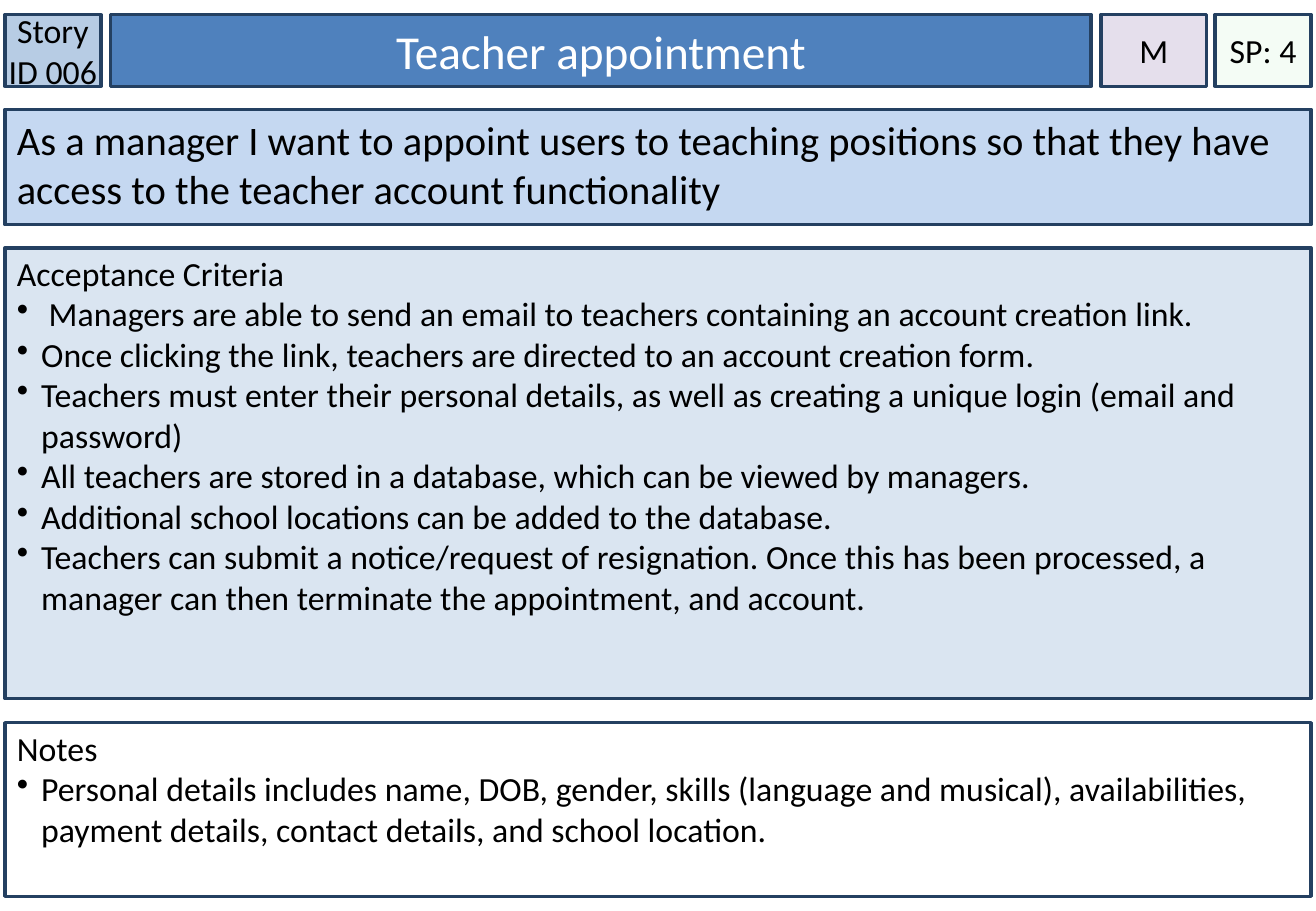
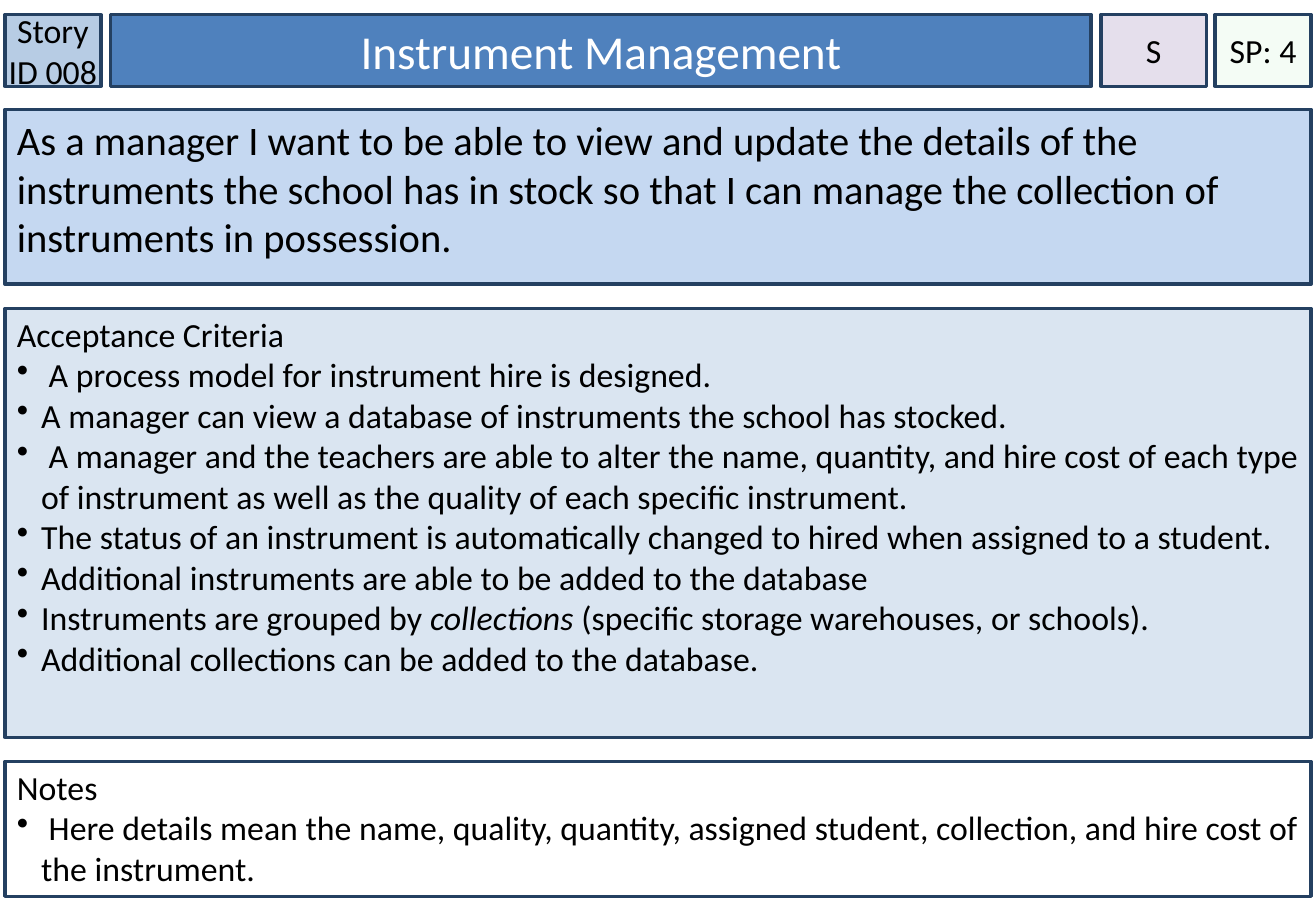
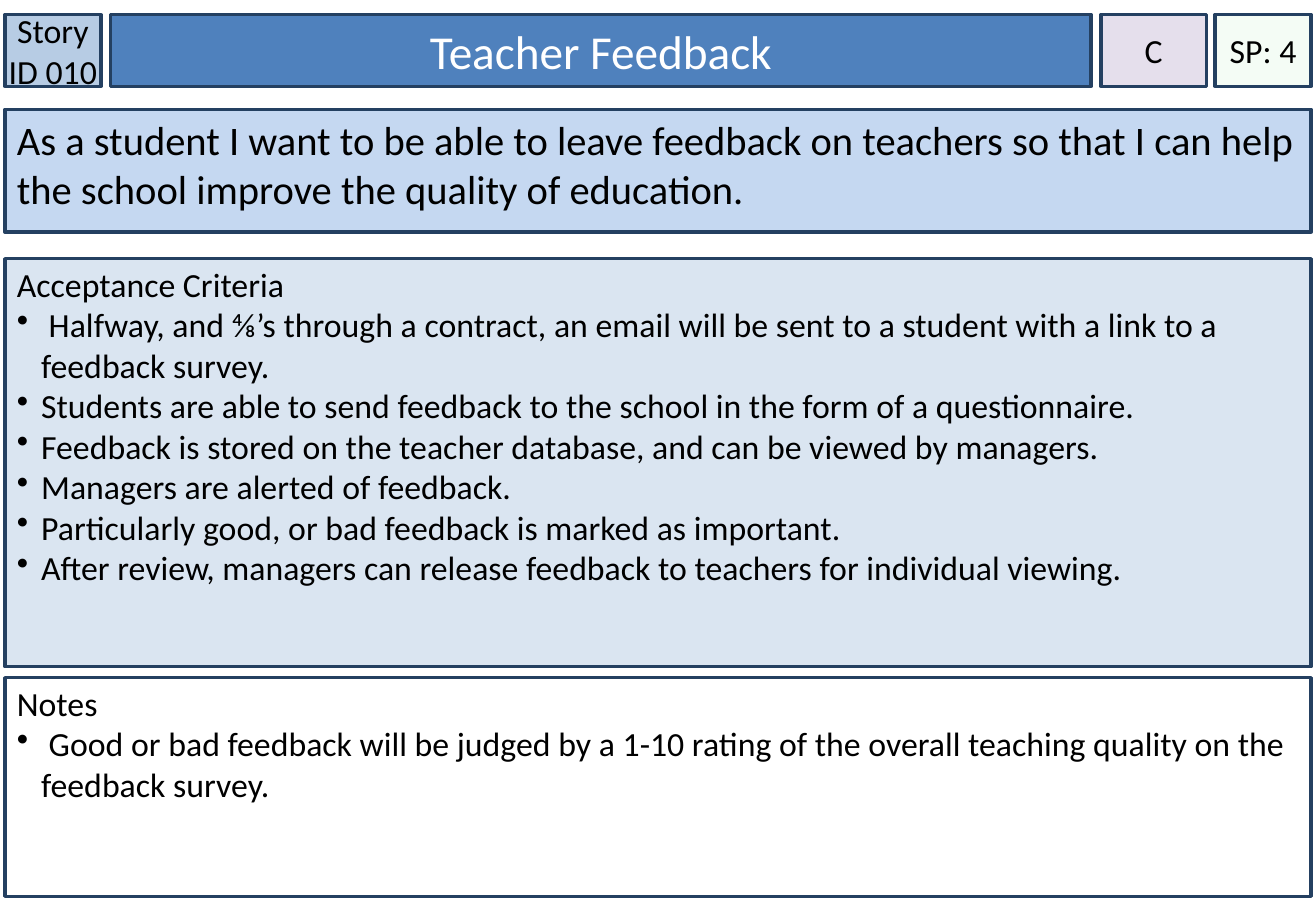
from lxml import etree
from pptx import Presentation
from pptx import util as u
from pptx.dml.color import RGBColor
from pptx.enum import shapes, text
from pptx.oxml import ns

PX = 9144  # 100 px to the inch
WIDTH, HEIGHT = 1083, 750
LEFT, RIGHT, BOTTOM = 4, 1079, 738
HEADER_TOP, HEADER_HEIGHT = 12, 59
STORY_TOP = 90
INDENT = 20

FONT = "Calibri"
BLACK = RGBColor(0x00, 0x00, 0x00)
WHITE = RGBColor(0xFF, 0xFF, 0xFF)
NAVY = RGBColor(0x24, 0x40, 0x61)
BLUE = RGBColor(0x4F, 0x81, 0xBD)
ID_BLUE = RGBColor(0xB7, 0xCC, 0xE4)
STORY_BLUE = RGBColor(0xC5, 0xD8, 0xF1)
PALE_BLUE = RGBColor(0xDA, 0xE5, 0xF1)
LILAC = RGBColor(0xE5, 0xDF, 0xEC)
GREEN = RGBColor(0xCC, 0xF0, 0xCD)

# A bullet is a string, or a list of (text, italic) runs.
# Spans are (top, bottom) in px.
CARDS = [
    dict(
        id="Story ID 006", title="Teacher appointment", priority="M", points="SP: 4",
        story="As a manager I want to appoint users to teaching positions so that "
              "they have access to the teacher account functionality",
        criteria=[
            " Managers are able to send an email to teachers containing an account creation link.",
            "Once clicking the link, teachers are directed to an account creation form.",
            "Teachers must enter their personal details, as well as creating a unique login "
            "(email and password)",
            "All teachers are stored in a database, which can be viewed by managers.",
            "Additional school locations can be added to the database.",
            "Teachers can submit a notice/request of resignation. Once this has been processed, "
            "a manager can then terminate the appointment, and account.",
        ],
        notes=["Personal details includes name, DOB, gender, skills (language and musical), "
               "availabilities, payment details, contact details, and school location."],
        story_bottom=185, criteria_span=(204, 575), notes_top=595,
    ),
    dict(
        id="Story ID 008", title="Instrument Management", priority="S", points="SP: 4",
        story="As a manager I want to be able to view and update the details of the "
              "instruments the school has in stock so that I can manage the collection of "
              "instruments in possession.",
        criteria=[
            " A process model for instrument hire is designed.",
            "A manager can view a database of instruments the school has stocked.",
            " A manager and the teachers are able to alter the name, quantity, and hire cost "
            "of each type of instrument as well as the quality of each specific instrument.",
            "The status of an instrument is automatically changed to hired when assigned to "
            "a student.",
            "Additional instruments are able to be added to the database",
            [("Instruments are grouped by ", False), ("collections", True),
             (" (specific storage warehouses, or schools).", False)],
            "Additional collections can be added to the database.",
        ],
        notes=[" Here details mean the name, quality, quantity, assigned student, collection, "
               "and hire cost of the instrument."],
        story_bottom=234, criteria_span=(254, 607), notes_top=627,
    ),
    dict(
        id="Story ID 010", title="Teacher Feedback", priority="C", points="SP: 4",
        story="As a student I want to be able to leave feedback on teachers so that I can "
              "help the school improve the quality of education.",
        criteria=[
            " Halfway, and ⅘’s through a contract, an email will be sent to a student with a "
            "link to a feedback survey.",
            "Students are able to send feedback to the school in the form of a questionnaire.",
            "Feedback is stored on the teacher database, and can be viewed by managers.",
            "Managers are alerted of feedback.",
            "Particularly good, or bad feedback is marked as important.",
            "After review, managers can release feedback to teachers for individual viewing.",
        ],
        notes=[" Good or bad feedback will be judged by a 1-10 rating of the overall teaching "
               "quality on the feedback survey."],
        story_bottom=191, criteria_span=(213, 549), notes_top=558,
    ),
]

# card key, left, width, fill, format
HEADER = [
    ("id", LEFT, 79, ID_BLUE, dict(side=0)),
    ("title", 91, 807, BLUE, dict(size=28, color=WHITE)),
    ("points", 1000, 79, GREEN, dict(side=0, alpha=20)),
    ("priority", 906, 87, LILAC, dict(side=0)),
]


def add_bullet(p):
    pPr = p._p.get_or_add_pPr()
    pPr.set("marL", str(INDENT * PX))
    pPr.set("indent", str(-INDENT * PX))
    color = etree.SubElement(pPr, ns.qn("a:buClr"))
    etree.SubElement(color, ns.qn("a:srgbClr"), val=str(BLACK))
    etree.SubElement(pPr, ns.qn("a:buChar"), char="•")


def write(p, content, size=20, color=BLACK, align=text.PP_ALIGN.LEFT, bullet=False):
    if bullet:
        add_bullet(p)
    p.alignment = align
    runs = [(content, False)] if isinstance(content, str) else content
    for words, italic in runs:
        r = p.add_run()
        r.text = words
        r.font.name, r.font.size = FONT, u.Pt(size)
        r.font.color.rgb = color
        if italic:
            r.font.italic = True


def add_box(s, left, top, width, height, fill, side=10, inset_top=5,
            anchor=text.MSO_ANCHOR.TOP, alpha=None):
    """Draw an outlined rectangle and return its text frame."""
    sp = s.shapes.add_shape(shapes.MSO_SHAPE.RECTANGLE,
                            *(v * PX for v in (left, top, width, height)))
    sp.shadow.inherit = False
    sp.fill.solid()
    sp.fill.fore_color.rgb = fill
    if alpha is not None:
        color = sp._element.spPr.find(ns.qn("a:solidFill"))[0]
        etree.SubElement(color, ns.qn("a:alpha"), val=str(alpha * 1000))
    sp.line.color.rgb = NAVY
    sp.line.width = u.Pt(2)
    tf = sp.text_frame
    tf.word_wrap = True
    tf.vertical_anchor = anchor
    tf.margin_left = tf.margin_right = side * PX
    tf.margin_top, tf.margin_bottom = inset_top * PX, 5 * PX
    return tf


def add_header_box(s, content, left, width, fill, size=20, color=BLACK, **box):
    tf = add_box(s, left, HEADER_TOP, width, HEADER_HEIGHT, fill,
                 anchor=text.MSO_ANCHOR.MIDDLE, **box)
    write(tf.paragraphs[0], content, size=size, color=color, align=text.PP_ALIGN.CENTER)


def add_band(s, top, bottom, fill, **box):
    return add_box(s, LEFT, top, RIGHT - LEFT, bottom - top, fill, **box)


def add_list(s, heading, items, top, bottom, fill):
    tf = add_band(s, top, bottom, fill, inset_top=4)
    write(tf.paragraphs[0], heading)
    for item in items:
        write(tf.add_paragraph(), item, bullet=True)


def add_card(prs, card):
    s = prs.slides.add_slide(prs.slide_layouts[6])
    for key, left, width, fill, style in HEADER:
        add_header_box(s, card[key], left, width, fill, **style)
    tf = add_band(s, STORY_TOP, card["story_bottom"], STORY_BLUE)
    write(tf.paragraphs[0], card["story"], size=24)
    add_list(s, "Acceptance Criteria", card["criteria"], *card["criteria_span"], PALE_BLUE)
    add_list(s, "Notes", card["notes"], card["notes_top"], BOTTOM, WHITE)


def main():
    prs = Presentation()
    prs.slide_width, prs.slide_height = WIDTH * PX, HEIGHT * PX
    for card in CARDS:
        add_card(prs, card)
    prs.save("out.pptx")


if __name__ == "__main__":
    main()
